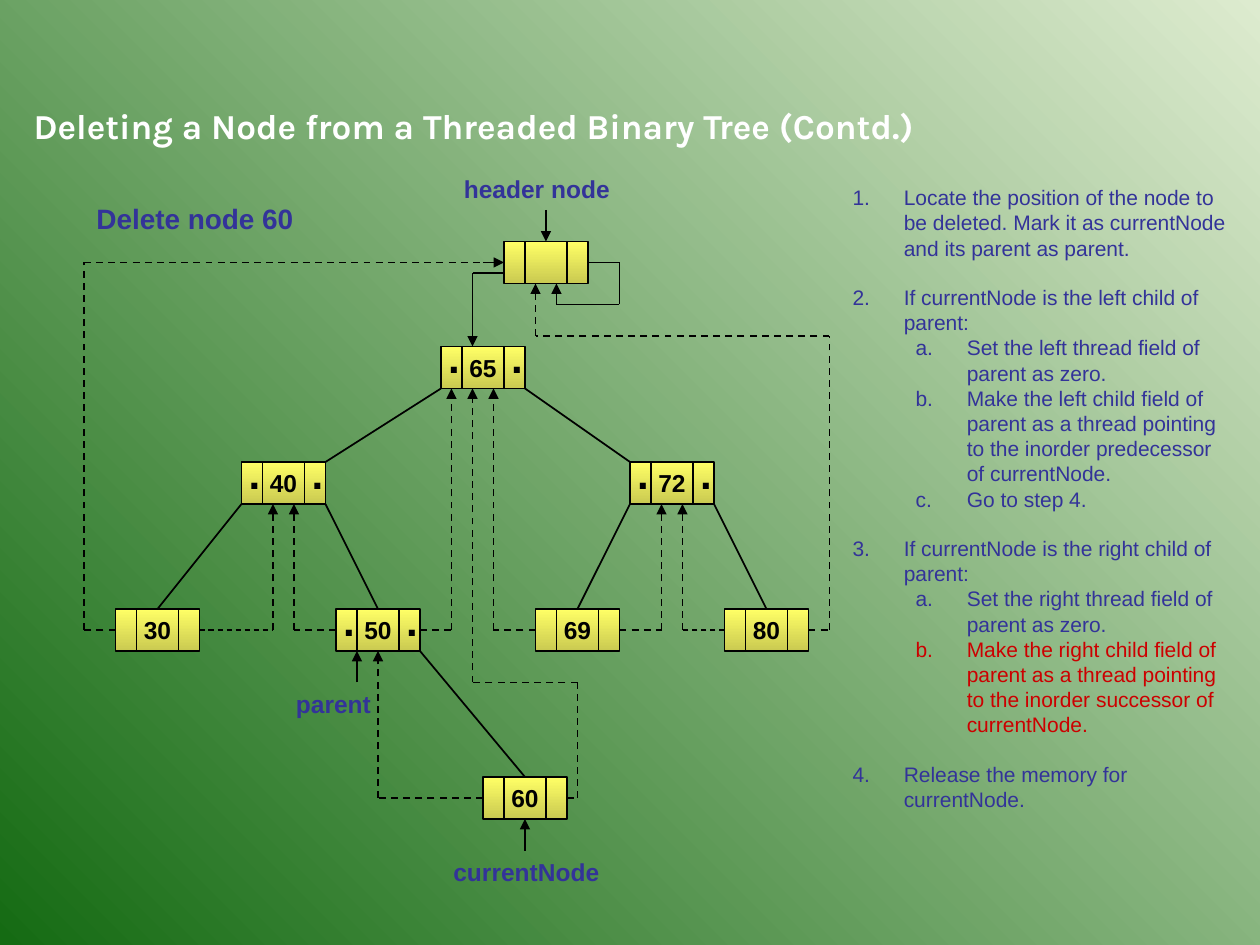
from itertools import pairwise

from lxml import etree
from pptx import Presentation
from pptx.dml.color import RGBColor
from pptx.enum.dml import MSO_LINE
from pptx.enum.shapes import MSO_CONNECTOR, MSO_SHAPE
from pptx.enum.text import MSO_ANCHOR, MSO_AUTO_SIZE, PP_ALIGN
from pptx.oxml.ns import qn
from pptx.util import Pt

PX = 9525  # 96 px to the inch
STRAIGHT, RECT, DASH = MSO_CONNECTOR.STRAIGHT, MSO_SHAPE.RECTANGLE, MSO_LINE.DASH
LEFT, CENTER = PP_ALIGN.LEFT, PP_ALIGN.CENTER
TOP, MIDDLE = MSO_ANCHOR.TOP, MSO_ANCHOR.MIDDLE
FIXED = MSO_AUTO_SIZE.NONE
BLACK, WHITE, BLUE, RED = "000000", "FFFFFF", "333399", "CC0000"
NODE_W, NODE_H, FIELD = 64, 32, 16

color = RGBColor.from_string
prs = Presentation()
prs.slide_width, prs.slide_height = 960 * PX, 720 * PX
slide = prs.slides.add_slide(prs.slide_layouts[1])
shapes = slide.shapes


def write(frame, text, size, hex_color, font="Arial", align=LEFT, anchor=TOP, wrap=True):
    """Fill a text frame with one bold line."""
    frame.text = text
    frame.word_wrap = wrap
    frame.auto_size = FIXED
    frame.vertical_anchor = anchor
    line = frame.paragraphs[0]
    line.alignment = align
    line.space_before = 0
    line.font.name, line.font.size, line.font.bold = font, Pt(size), True
    line.font.color.rgb = color(hex_color)


def route(points, arrow=False, dashed=False, width=1, first_width=None):
    """Join the points with straight connectors; the arrowhead sits at the last one."""
    legs = list(pairwise(points))
    for number, (start, end) in enumerate(legs, 1):
        leg = shapes.add_connector(STRAIGHT, *(v * PX for v in start + end))
        leg.line.color.rgb = color(BLACK)
        leg.line.width = Pt(first_width if first_width and number == 1 else width)
        if dashed:
            leg.line.dash_style = DASH
        if arrow and number == len(legs):
            etree.SubElement(leg.line._get_or_add_ln(), qn("a:tailEnd"), type="triangle")
        etree.SubElement(leg._element.spPr, qn("a:effectLst"))


# Title
title = shapes.title
title.left, title.top, title.width, title.height = 16 * PX, 75 * PX, 800 * PX, 42 * PX
write(title.text_frame, "Deleting a Node from a Threaded Binary Tree (Contd.)", 20, WHITE, "Karla")

# Tree nodes: key -> left, top; the header node has no key
nodes = {
    "": (384, 184),
    "65": (336, 264),
    "40": (184, 352), "72": (480, 352),
    "30": (88, 464), "50": (256, 464), "69": (408, 464), "80": (552, 464),
    "60": (368, 592),
}
with_children = ("65", "40", "72", "50")

# Branches: parent, right side?, child, where on the child's top edge
branches = [
    ("65", False, "40", NODE_W), ("65", True, "72", 0),
    ("40", False, "30", NODE_W // 2), ("40", True, "50", NODE_W // 2),
    ("72", False, "69", NODE_W // 2), ("72", True, "80", NODE_W // 2),
    ("50", True, "60", NODE_W // 2),
]
for parent, is_right, child, offset in branches:
    (parent_x, parent_y), (child_x, child_y) = nodes[parent], nodes[child]
    route([(parent_x + NODE_W * is_right, parent_y + NODE_H), (child_x + offset, child_y)])

gradients = [(slide.background.fill, 225, ("DDEBCF", "156B13"))]
for key, (x, y) in nodes.items():
    node = shapes.add_shape(RECT, x * PX, y * PX, NODE_W * PX, NODE_H * PX)
    node.shadow.inherit = False
    node.line.color.rgb = color(BLACK)
    node.line.width = Pt(1)
    gradients.append((node.fill, 270, ("FFFF66", "CACA51")))
    if key:
        write(node.text_frame, key, 14, BLACK, align=CENTER, anchor=MIDDLE, wrap=False)
    for divider in (x + FIELD, x + NODE_W - FIELD):
        route([(divider, y), (divider, y + NODE_H)])
    if key in with_children:
        for dot_x in (x - 4, x + 44):
            dot = shapes.add_textbox(dot_x * PX, (y - 16) * PX, 28 * PX, 48 * PX)
            write(dot.text_frame, ".", 24, BLACK, wrap=False)

for fill, angle, ends in gradients:
    fill.gradient()
    fill.gradient_angle = angle
    for stop, end in zip(fill.gradient_stops, ends):
        stop.color.rgb = color(end)

# Threads, from the node to its inorder neighbour
threads = [
    [(616, 480), (632, 480), (632, 256), (408, 256), (408, 216)],
    [(472, 480), (504, 480), (504, 384)],
    [(408, 480), (376, 480), (376, 296)],
    [(432, 608), (440, 608), (440, 520), (360, 520), (360, 296)],
    [(368, 608), (288, 608), (288, 496)],
    [(256, 480), (224, 480), (224, 384)],
    [(320, 480), (344, 480), (344, 296)],
]
for thread in threads:
    route(thread, arrow=True, dashed=True)
for thread in ([(552, 480), (520, 480), (520, 384)], [(152, 480), (208, 480), (208, 384)]):
    route(thread, arrow=True, dashed=True, first_width=0.75)
route([(88, 480), (64, 480), (64, 200), (368, 200)], dashed=True)
route([(368, 200), (384, 200)], arrow=True)

# Header node: left child link and right link to itself
route([(384, 208), (360, 208), (360, 264)], arrow=True)
route([(448, 200), (472, 200), (472, 232), (424, 232), (424, 216)], arrow=True)

# Pointers and labels
route([(416, 160), (416, 184)], arrow=True)
route([(400, 648), (400, 624)], arrow=True, width=0.75)
route([(272, 520), (272, 496)], arrow=True, width=0.75)
labels = [
    ("header node", 14, 344, 128, 152, 33),
    ("Delete node 60", 16, 64, 149, 216, 36),
    ("currentNode", 14, 336, 648, 152, 33),
    ("parent", 14, 216, 520, 80, 33),
]
for text, size, *box in labels:
    label = shapes.add_textbox(*(v * PX for v in box))
    write(label.text_frame, text, size, BLUE)

# Algorithm: level, colour, text
steps = [
    (0, BLUE, "Locate the position of the node to be deleted. Mark it as currentNode "
              "and its parent as parent."),
    (0, BLUE, "If currentNode is the left child of parent:"),
    (1, BLUE, "Set the left thread field of parent as zero."),
    (1, BLUE, "Make the left child field of parent as a thread pointing to the inorder "
              "predecessor of currentNode."),
    (1, BLUE, "Go to step 4."),
    (0, BLUE, "If currentNode is the right child of parent:"),
    (1, BLUE, "Set the right thread field of parent as zero."),
    (1, RED, "Make the right child field of parent as a thread pointing to the inorder "
             "successor of currentNode."),
    (0, BLUE, "Release the memory for currentNode."),
]
algorithm = slide.placeholders[1]
algorithm.left, algorithm.top = 640 * PX, 136 * PX
algorithm.width, algorithm.height = 304 * PX, 490 * PX
algorithm.text_frame.text = "\n".join(text for _, _, text in steps)
algorithm.text_frame.auto_size = FIXED
for number, (step, (level, hex_color, _)) in enumerate(zip(algorithm.text_frame.paragraphs, steps)):
    step.level = level
    props = step._p.get_or_add_pPr()
    props.set("marL", str((39 + 48 * level) * PX))
    props.set("indent", str(-39 * PX))
    etree.SubElement(etree.SubElement(props, qn("a:buClr")), qn("a:srgbClr"), val=hex_color)
    etree.SubElement(props, qn("a:buFont"), typeface="Arial")
    etree.SubElement(props, qn("a:buAutoNum"), type=("arabicPeriod", "alphaLcPeriod")[level])
    step.space_before = Pt(13.8) if number and level == 0 else 0
    step.font.name, step.font.size = "Arial", Pt(12)
    step.font.color.rgb = color(hex_color)

prs.save("out.pptx")
